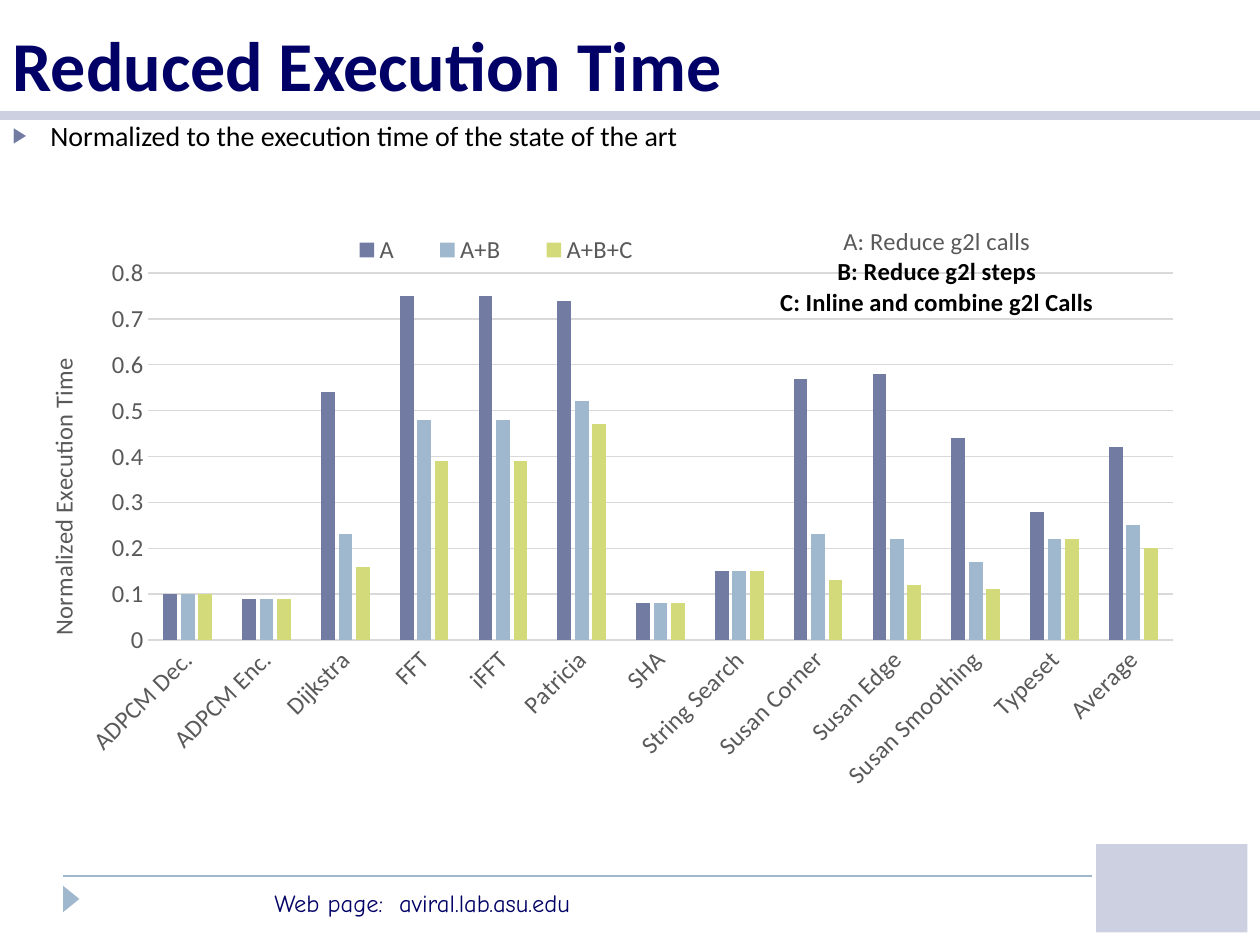
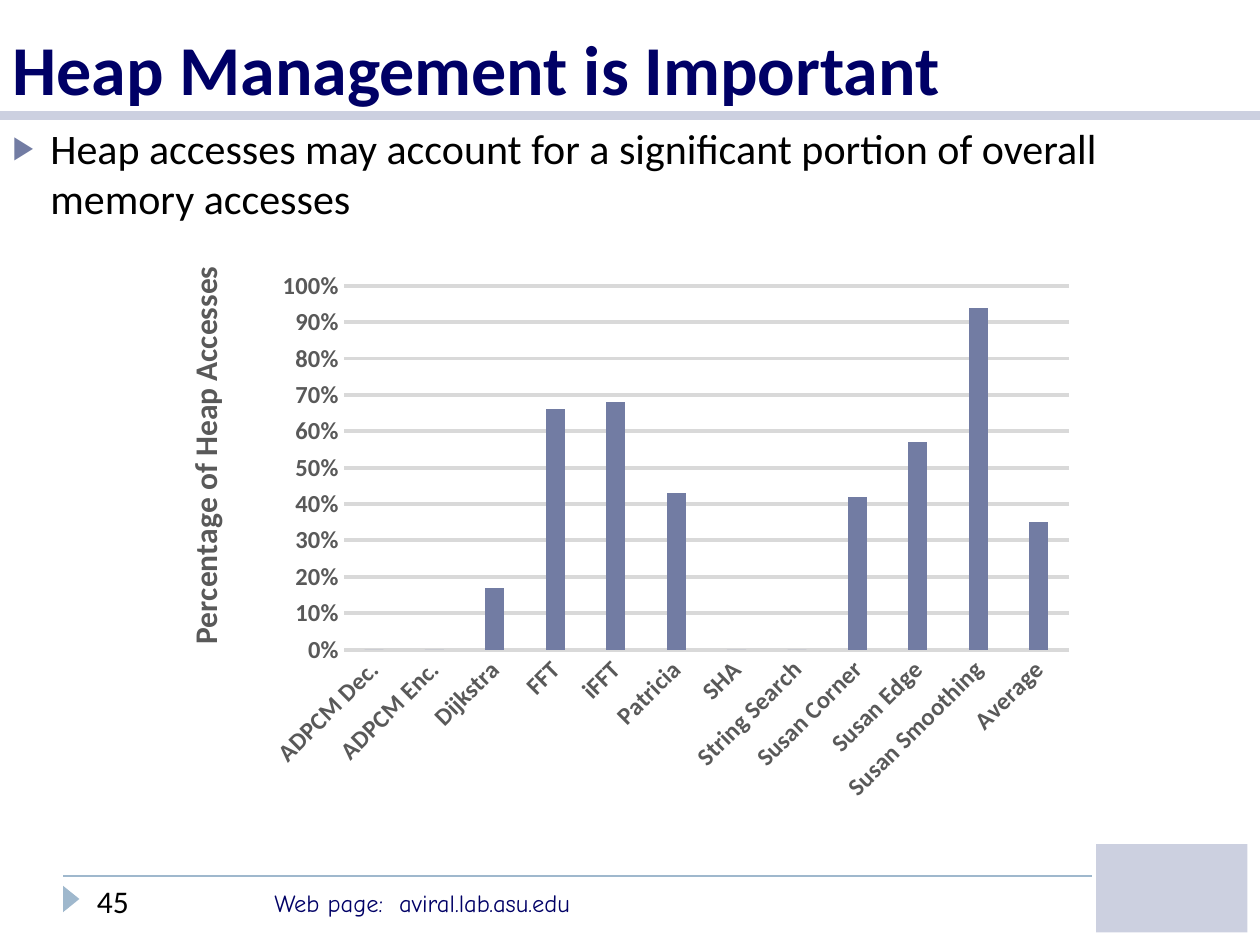
from lxml import etree
from pptx import Presentation
from pptx.chart.data import CategoryChartData
from pptx.dml.color import RGBColor
from pptx.enum.chart import XL_CHART_TYPE, XL_LEGEND_POSITION, XL_TICK_MARK
from pptx.enum.shapes import MSO_CONNECTOR, MSO_SHAPE
from pptx.enum.text import MSO_ANCHOR, MSO_AUTO_SIZE, PP_ALIGN
from pptx.oxml.ns import qn
from pptx.util import Inches, Pt

COLUMNS = XL_CHART_TYPE.COLUMN_CLUSTERED
LEGEND_BOTTOM = XL_LEGEND_POSITION.BOTTOM
NO_TICK = XL_TICK_MARK.NONE
STRAIGHT = MSO_CONNECTOR.STRAIGHT
TRIANGLE, RECTANGLE = MSO_SHAPE.ISOSCELES_TRIANGLE, MSO_SHAPE.RECTANGLE
TOP, BOTTOM = MSO_ANCHOR.TOP, MSO_ANCHOR.BOTTOM
NO_FIT = MSO_AUTO_SIZE.NONE
LEFT, CENTER = PP_ALIGN.LEFT, PP_ALIGN.CENTER


class Theme:
    navy = RGBColor.from_string("000066")
    black = RGBColor.from_string("000000")
    gray = RGBColor.from_string("595959")
    grid = RGBColor.from_string("D9D9D9")
    band = RGBColor.from_string("CCD0E0")
    accents = [RGBColor.from_string(code) for code in ("727CA3", "9FB8CD", "D2DA7A")]
    title = {"name": "Calibri", "size": Pt(40), "bold": True, "color": navy}
    body = {"name": "Calibri", "bold": False, "color": black}
    number = {**body, "size": Pt(18)}
    footer = {"name": "Comic Neue", "size": Pt(14), "color": navy}
    chart = {"name": "Calibri", "size": Pt(14), "bold": False, "color": gray}
    chart_bold = {**chart, "bold": True}
    chart_note = {**chart_bold, "color": black}


deck = Presentation()
deck.slide_width, deck.slide_height = Inches(10), Inches(7.5)
COLUMN, ROW = deck.slide_width / 100, deck.slide_height / 75


def grid(left, top, width, height):
    return [round(n * unit) for n, unit in
            zip((left, top, width, height), (COLUMN, ROW, COLUMN, ROW))]


def apply_format(font, values):
    for name, value in values.items():
        if name == "color":
            font.color.rgb = value
        else:
            setattr(font, name, value)


programs = ["ADPCM Dec.", "ADPCM Enc.", "Dijkstra", "FFT", "iFFT", "Patricia", "SHA",
            "String Search", "Susan Corner", "Susan Edge", "Susan Smoothing",
            "Typeset", "Average"]

pages = [
    {
        "title": "Reduced Execution Time", "title_rows": 8.9, "number": None,
        "body": "Normalized to the execution time of the state of the art",
        "body_size": Pt(16), "body_rows": 10.1,
        "chart_at": (1.7, 16.7, 94.2, 48.3), "categories": programs,
        "series": {
            "A": [0.1, 0.09, 0.54, 0.75, 0.75, 0.74, 0.08, 0.15, 0.57, 0.58, 0.44, 0.28, 0.42],
            "A+B": [0.1, 0.09, 0.23, 0.48, 0.48, 0.52, 0.08, 0.15, 0.23, 0.22, 0.17, 0.22, 0.25],
            "A+B+C": [0.1, 0.09, 0.16, 0.39, 0.39, 0.47, 0.08, 0.15, 0.13, 0.12, 0.11, 0.22, 0.2],
        },
        "notes": ["A: Reduce g2l calls", "B: Reduce g2l steps",
                  "C: Inline and combine g2l Calls"],
        "axis": "Normalized Execution Time", "axis_size": Pt(14), "axis_at": (1.7, 23.6),
        "font": Theme.chart, "maximum": 0.8, "number_format": "General", "grid_width": Pt(0.75),
        "plot_at": (10.7, 10.3, 86.3, 60.3),
    },
    {
        "title": "Heap Management is Important", "title_rows": 9.2, "number": "45",
        "body": "Heap accesses may account for a significant portion of overall memory accesses",
        "body_size": Pt(24), "body_rows": 11.5,
        "chart_at": (13.8, 20.7, 72.5, 43.9),
        "categories": [name for name in programs if name != "Typeset"],
        "series": {"Series 1": [0, 0, 0.17, 0.66, 0.68, 0.43, 0, 0, 0.42, 0.57, 0.94, 0.35]},
        "notes": [],
        "axis": "Percentage of Heap Accesses", "axis_size": Pt(18), "axis_at": (0.4, 0),
        "font": Theme.chart_bold, "maximum": 1, "number_format": "0%", "grid_width": Pt(2.25),
        "plot_at": (18.6, 4.5, 79.4, 65.8),
    },
]

for content in pages:
    page = deck.slides.add_slide(deck.slide_layouts[1])

    for left, right, row, color, width in ((5, 86.7, 69.5, Theme.accents[1], 1),
                                           (0, 100, 9.15, Theme.band, 5)):
        x1, y, x2, y2 = grid(left, row, right, row)
        rule = page.shapes.add_connector(STRAIGHT, x1, y, x2, y2)
        rule.line.color.rgb = color
        rule.line.width = Pt(width)
        etree.SubElement(rule._element.spPr, qn("a:effectLst"))

    for kind, place, color, turn in (
            (TRIANGLE, (4.6, 70.7, 2.1, 1.3), Theme.accents[1], 90),
            (RECTANGLE, (87, 67, 12, 7), Theme.band, 0)):
        mark = page.shapes.add_shape(kind, *grid(*place))
        mark.rotation = turn
        mark.shadow.inherit = False
        mark.fill.solid()
        mark.fill.fore_color.rgb = color
        mark.line.fill.background()

    title, body = page.shapes.title, page.placeholders[1]
    texts = [
        (title, (0, 0, 100, content["title_rows"]), content["title"], Theme.title, BOTTOM),
        (body, (0, content["title_rows"], 100, content["body_rows"]), content["body"],
         {**Theme.body, "size": content["body_size"]}, TOP),
        (None, (20.8, 70, 37.5, 3.4), "Web page:\taviral.lab.asu.edu", Theme.footer, TOP),
    ]
    if content["number"]:
        texts.append((None, (6.7, 69.5, 14.1, 4), content["number"], Theme.number, TOP))
    for box, place, words, font, anchor in texts:
        box = box or page.shapes.add_textbox(*grid(*place))
        box.left, box.top, box.width, box.height = grid(*place)
        frame = box.text_frame
        frame.word_wrap, frame.auto_size, frame.vertical_anchor = True, NO_FIT, anchor
        para = frame.paragraphs[0]
        if "\t" in words:
            tabs = etree.SubElement(para._p.get_or_add_pPr(), qn("a:tabLst"))
            etree.SubElement(tabs, qn("a:tab"), pos=str(Inches(0.99)), algn="l")
        para.alignment, para.space_before = LEFT, Pt(0)
        span = para.add_run()
        span.text = words
        apply_format(span.font, font)

    settings = body.text_frame.paragraphs[0]._p.get_or_add_pPr()
    settings.set("marL", str(Inches(0.3)))
    settings.set("indent", str(Inches(-0.3)))
    bullet_color = etree.SubElement(settings, qn("a:buClr"))
    etree.SubElement(bullet_color, qn("a:srgbClr"), val=str(Theme.accents[0]))
    etree.SubElement(settings, qn("a:buSzPct"), val="76000")
    etree.SubElement(settings, qn("a:buFont"), typeface="Calibri")
    etree.SubElement(settings, qn("a:buChar"), char="▶")

    data = CategoryChartData(number_format=content["number_format"])
    data.categories = content["categories"]
    for name, values in content["series"].items():
        data.add_series(name, values)
    chart = page.shapes.add_chart(COLUMNS, *grid(*content["chart_at"]), data).chart
    apply_format(chart.font, content["font"])
    plot = chart.plots[0]
    plot.gap_width, plot.overlap, plot.vary_by_categories = 219, -27, False
    for series, color in zip(plot.series, Theme.accents):
        series.format.fill.solid()
        series.format.fill.fore_color.rgb = color

    categories, values = chart.category_axis, chart.value_axis
    for axis in (categories, values):
        axis.major_tick_mark = axis.minor_tick_mark = NO_TICK
        apply_format(axis.tick_labels.font, content["font"])
    categories.format.line.color.rgb = Theme.grid
    categories.format.line.width = Pt(0.75)
    categories._element.find(qn("c:txPr")).find(qn("a:bodyPr")).set("rot", "-2700000")
    values.minimum_scale, values.maximum_scale, values.major_unit = 0, content["maximum"], 0.1
    values.tick_labels.number_format = content["number_format"]
    values.tick_labels.number_format_is_linked = False
    values.format.line.fill.background()
    values.major_gridlines.format.line.color.rgb = Theme.grid
    values.major_gridlines.format.line.width = content["grid_width"]
    frame = values.axis_title.text_frame
    frame._txBody.bodyPr.set("rot", "-5400000")
    frame._txBody.bodyPr.set("vert", "horz")
    span = frame.paragraphs[0].add_run()
    span.text = content["axis"]
    apply_format(span.font, {**content["font"], "size": content["axis_size"]})

    layouts = [(chart._chartSpace.chart.plotArea, content["plot_at"]),
               (values.axis_title._element, content["axis_at"])]
    chart.has_legend = chart.has_title = bool(content["notes"])
    if content["notes"]:
        chart.legend.position = LEGEND_BOTTOM
        chart.legend.include_in_layout = False
        apply_format(chart.legend.font, content["font"])
        frame = chart.chart_title.text_frame
        for index, note in enumerate(content["notes"]):
            para = frame.add_paragraph() if index else frame.paragraphs[0]
            para.alignment = CENTER
            span = para.add_run()
            span.text = note
            apply_format(span.font, Theme.chart_note if index else Theme.chart)
        heading = chart.chart_title._element
        heading.find(qn("c:overlay")).set("val", "1")
        layouts += [(heading, (63.6, 1.7)), (chart.legend._element, (25.3, 3.5, 29.4, 6))]

    for part, percents in layouts:
        for old in part.findall(qn("c:layout")):
            part.remove(old)
        overlay = part.find(qn("c:overlay"))
        layout = etree.Element(qn("c:layout"))
        part.insert(0 if overlay is None else part.index(overlay), layout)
        manual = etree.SubElement(layout, qn("c:manualLayout"))
        if overlay is None:
            etree.SubElement(manual, qn("c:layoutTarget"), val="inner")
        for key in ("xMode", "yMode"):
            etree.SubElement(manual, qn(f"c:{key}"), val="edge")
        for key, percent in zip("xywh", percents):
            etree.SubElement(manual, qn(f"c:{key}"), val=f"{percent / 100:.3f}")

deck.save("out.pptx")
